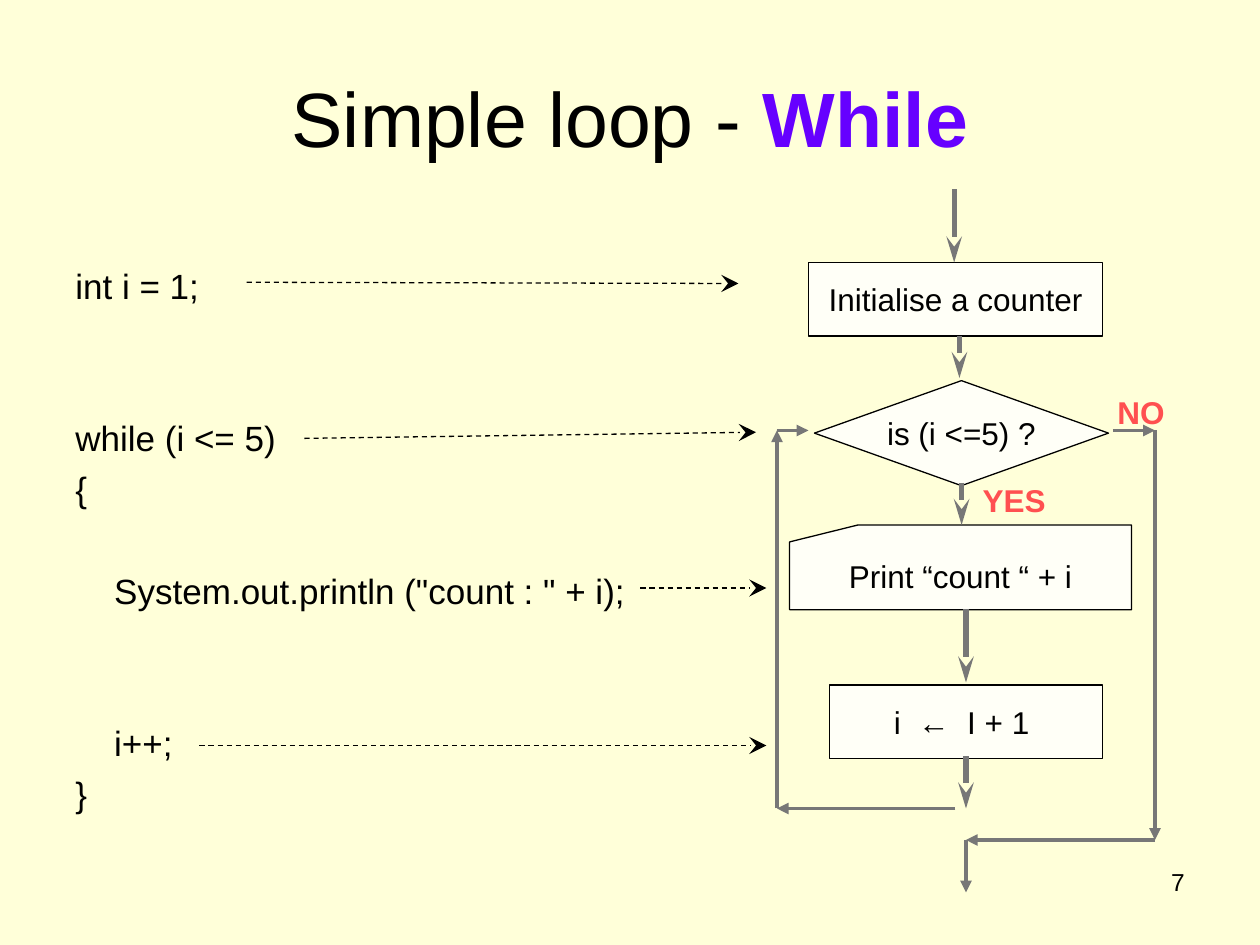
from dataclasses import dataclass
from itertools import pairwise

from lxml.etree import SubElement
from pptx import Presentation
from pptx.dml.color import RGBColor
from pptx.enum.dml import MSO_LINE
from pptx.enum.shapes import MSO_CONNECTOR, MSO_SHAPE
from pptx.enum.text import MSO_ANCHOR, PP_ALIGN
from pptx.oxml.ns import qn
from pptx.util import Pt

FONT = "Arial"
BLACK, GRAY, RED, VIOLET = "000000", "777777", "FF5050", "6600FF"
CREAM, IVORY = "FFFFD9", "FFFFF7"
CODE_PITCH, CODE_HEIGHT = 29, 24


@dataclass
class FlowStep:
    kind: MSO_SHAPE
    left: float
    top: float
    width: float
    height: float
    text: str


@dataclass
class ArrowStyle:
    color: str
    weight: float
    head: str
    head_width: str
    head_length: str
    dashed: bool = False


@dataclass
class Label:
    text: str
    left: float
    top: float
    width: float
    height: float
    size: float = 18
    color: str = RED
    bold: bool = True
    align: PP_ALIGN = PP_ALIGN.LEFT


@dataclass
class CodeLine:
    text: str
    row: int


CODE_ARROW = ArrowStyle(BLACK, 0.75, "stealth", "lg", "lg", dashed=True)
FLOW_ARROW = ArrowStyle(GRAY, 3, "stealth", "med", "lg")
BRANCH_ARROW = ArrowStyle(GRAY, 2.25, "triangle", "med", "med")

FLOW_STEPS = [
    FlowStep(MSO_SHAPE.FLOWCHART_PROCESS, 462, 150, 168, 42, "Initialise a counter"),
    FlowStep(MSO_SHAPE.FLOWCHART_DECISION, 465.4, 217.5, 168, 60, "is (i <=5) ?"),
    FlowStep(MSO_SHAPE.FLOWCHART_CARD, 451.2, 300, 195.4, 48.4, "Print “count “ + i"),
    FlowStep(MSO_SHAPE.FLOWCHART_PROCESS, 474, 391.5, 156, 42, "i  ←  I + 1 "),
]
CODE_LINES = [
    CodeLine("int i = 1;", 0),
    CodeLine("while (i <= 5)", 3),
    CodeLine("{", 4),
    CodeLine('    System.out.println ("count : " + i);', 6),
    CodeLine("    i++;", 9),
    CodeLine("}", 10),
]
LABELS = [
    Label("NO", 631.4, 221, 46, 28.8),
    Label("YES", 554.4, 271.2, 54, 28.8),
    Label("7", 516, 492, 168, 37.5, 14, BLACK, False, PP_ALIGN.RIGHT),
]
# Each route is a chain of points with an arrow on every leg.
ROUTES = [
    (CODE_ARROW, [(141, 161.3), (422, 162)]),
    (CODE_ARROW, [(174, 250.5), (432, 247)]),
    (CODE_ARROW, [(366, 336), (438, 336)]),
    (CODE_ARROW, [(114, 426), (438, 426)]),
    (FLOW_ARROW, [(545.25, 108), (545.25, 150)]),
    (FLOW_ARROW, [(548.25, 192), (548.25, 216)]),
    (FLOW_ARROW, [(549.5, 276), (549.5, 300)]),
    (FLOW_ARROW, [(552, 348), (552, 390)]),
    (FLOW_ARROW, [(552, 432), (552, 462)]),
    (BRANCH_ARROW, [(546, 462), (444, 462), (444, 246), (462, 246)]),
    (BRANCH_ARROW, [(636, 246), (660, 246), (660, 480), (552, 480), (552, 510)]),
]


def rgb(color: str) -> RGBColor:
    return RGBColor.from_string(color)


def format_font(font, size: float, color: str = BLACK, bold: bool = False) -> None:
    font.name = FONT
    font.size = Pt(size)
    font.bold = bold
    font.color.rgb = rgb(color)


def add_title(slide) -> None:
    title = slide.shapes.title
    title.left, title.top, title.width, title.height = Pt(36), Pt(21.6), Pt(648), Pt(90)
    title.text_frame.text = "Simple loop - "
    title.text_frame.vertical_anchor = MSO_ANCHOR.MIDDLE
    paragraph = title.text_frame.paragraphs[0]
    paragraph.alignment = PP_ALIGN.CENTER
    paragraph.add_run().text = "While"
    plain, keyword = paragraph.runs
    format_font(plain.font, 44)
    format_font(keyword.font, 44, VIOLET, True)


def add_code(slide, lines: list[CodeLine]) -> None:
    """Place the code lines on an even row grid by their space before."""
    shape = slide.shapes.add_textbox(Pt(36), Pt(147.6), Pt(354), Pt(344))
    frame = shape.text_frame
    frame.word_wrap = True
    frame.text = "\n".join(line.text for line in lines)
    for paragraph in frame.paragraphs:
        format_font(paragraph.runs[0].font, 20)
    for (before, line), paragraph in zip(pairwise(lines), frame.paragraphs[1:]):
        paragraph.space_before = Pt((line.row - before.row) * CODE_PITCH - CODE_HEIGHT)


def add_flow_step(slide, step: FlowStep) -> None:
    shape = slide.shapes.add_shape(
        step.kind, Pt(step.left), Pt(step.top), Pt(step.width), Pt(step.height))
    shape.shadow.inherit = False
    shape.fill.solid()
    shape.fill.fore_color.rgb = rgb(IVORY)
    shape.line.color.rgb = rgb(BLACK)
    shape.line.width = Pt(0.75)
    frame = shape.text_frame
    frame.text = step.text
    frame.word_wrap = False
    frame.vertical_anchor = MSO_ANCHOR.MIDDLE
    paragraph = frame.paragraphs[0]
    paragraph.alignment = PP_ALIGN.CENTER
    format_font(paragraph.runs[0].font, 18)


def add_label(slide, label: Label) -> None:
    shape = slide.shapes.add_textbox(
        Pt(label.left), Pt(label.top), Pt(label.width), Pt(label.height))
    frame = shape.text_frame
    frame.word_wrap = True
    frame.text = label.text
    paragraph = frame.paragraphs[0]
    paragraph.alignment = label.align
    format_font(paragraph.runs[0].font, label.size, label.color, label.bold)


def add_arrow(slide, style: ArrowStyle, start: tuple, end: tuple) -> None:
    connector = slide.shapes.add_connector(
        MSO_CONNECTOR.STRAIGHT, *(Pt(value) for value in (*start, *end)))
    line = connector.line
    line.color.rgb = rgb(style.color)
    line.width = Pt(style.weight)
    if style.dashed:
        line.dash_style = MSO_LINE.DASH
    properties = connector._element.spPr
    SubElement(properties.find(qn("a:ln")), qn("a:tailEnd"),
               type=style.head, w=style.head_width, len=style.head_length)
    SubElement(properties, qn("a:effectLst"))


def main() -> None:
    presentation = Presentation()
    presentation.slide_width, presentation.slide_height = Pt(720), Pt(540)
    slide = presentation.slides.add_slide(presentation.slide_layouts.get_by_name("Title Only"))
    slide.background.fill.solid()
    slide.background.fill.fore_color.rgb = rgb(CREAM)
    add_title(slide)
    add_code(slide, CODE_LINES)
    for step in FLOW_STEPS:
        add_flow_step(slide, step)
    for style, points in ROUTES:
        for start, end in pairwise(points):
            add_arrow(slide, style, start, end)
    for label in LABELS:
        add_label(slide, label)
    presentation.save("out.pptx")


if __name__ == "__main__":
    main()
